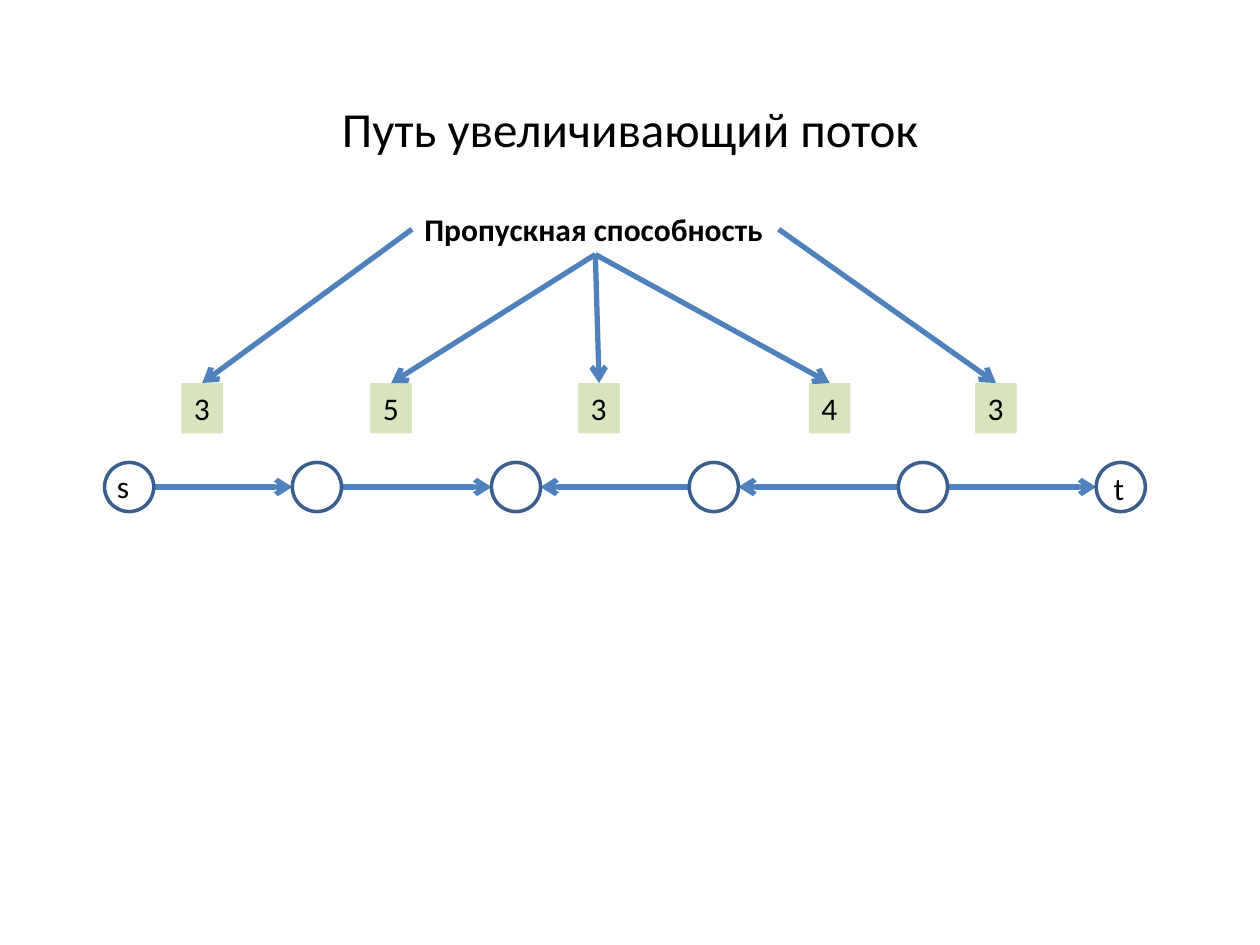
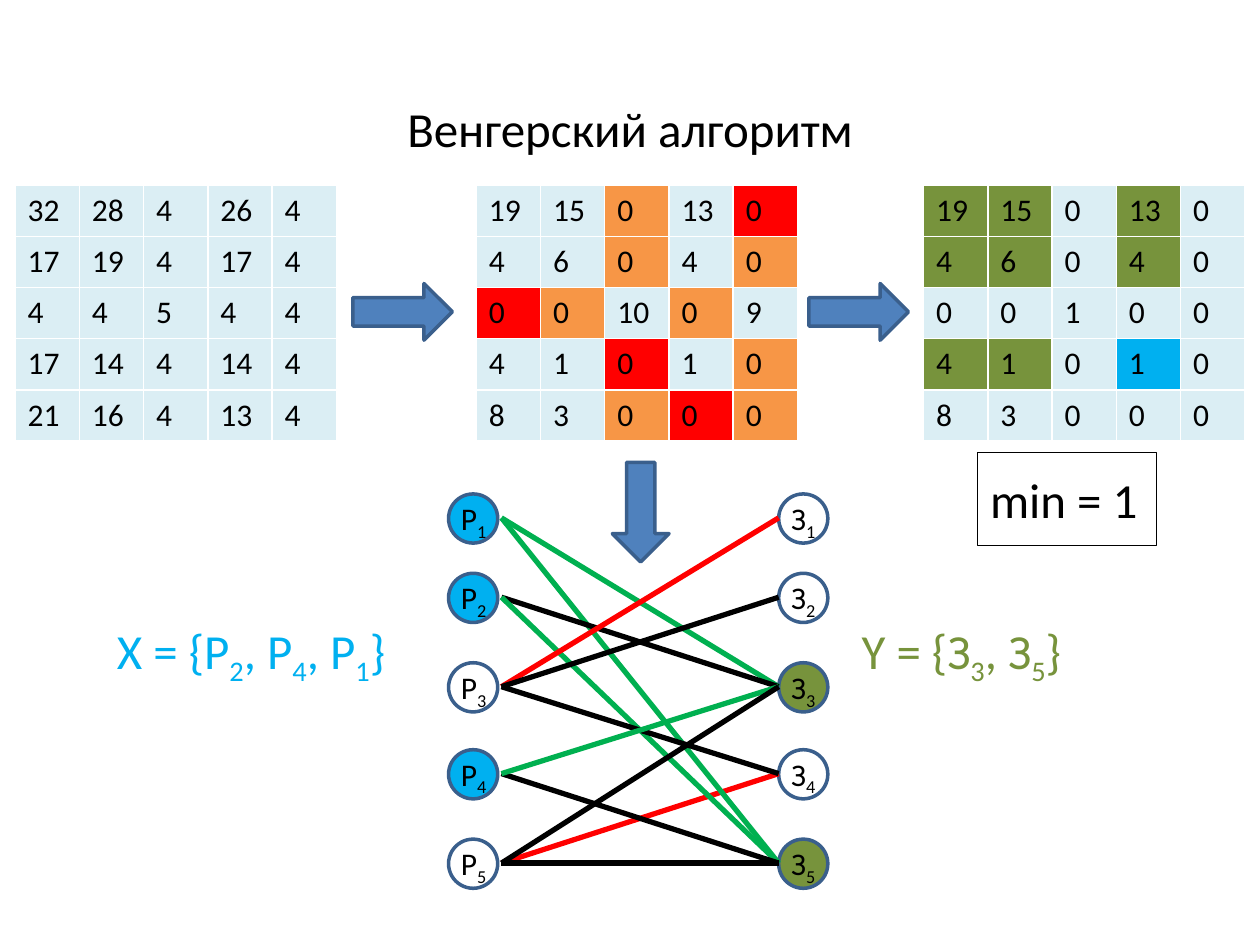
from lxml import etree
from pptx import Presentation
from pptx.dml.color import RGBColor
from pptx.enum.shapes import MSO_CONNECTOR, MSO_SHAPE
from pptx.enum.text import MSO_ANCHOR, PP_ALIGN
from pptx.oxml.ns import qn
from pptx.util import Inches, Pt

STRAIGHT = MSO_CONNECTOR.STRAIGHT
OVAL, RECT, ARROW = MSO_SHAPE.OVAL, MSO_SHAPE.RECTANGLE, MSO_SHAPE.RIGHT_ARROW
MIDDLE, CENTER, LEFT = MSO_ANCHOR.MIDDLE, PP_ALIGN.CENTER, PP_ALIGN.LEFT
TOP_SIDE, LEFT_SIDE, BOTTOM_SIDE, RIGHT_SIDE = range(4)

FONT = "Calibri"
BLACK, WHITE, RED, EDGE_GREEN = "000000", "FFFFFF", "FF0000", "00B050"
BLUE, OUTLINE, SKY, OLIVE = "4F81BD", "3A5F8C", "00B0F0", "77933C"
CAPACITY_FILL, CELL_FILL, ORANGE = "D7E4BD", "DBEEF4", "F79646"
CELL_FILLS = {".": CELL_FILL, "o": ORANGE, "r": RED, "g": OLIVE, "b": SKY}
NODE = 0.39
LABEL_HEIGHT = 0.4


def rgb(hex_color):
    """Turn a hex string into a colour."""
    return RGBColor.from_string(hex_color)


def inches(*lengths):
    """Turn numbers into lengths."""
    return [Inches(length) for length in lengths]


def write(frame, text, size=18, color=BLACK, bold=False, align=LEFT):
    """Write one paragraph; an underscore makes the next character a subscript."""
    paragraph = frame.paragraphs[0]
    paragraph.alignment = align
    first, *rest = text.split("_")
    paragraph.add_run().text = first
    for piece in rest:
        subscript = paragraph.add_run()
        subscript.text = piece[0]
        subscript._r.get_or_add_rPr().set("baseline", "-25000")
        if piece[1:]:
            paragraph.add_run().text = piece[1:]
    font = paragraph.font
    font.name, font.size, font.bold = FONT, Pt(size), bold
    font.color.rgb = rgb(color)


def add_label(slide, box, text, fill=None, **style):
    """Add an unwrapped text box, filled if a colour is given."""
    label = slide.shapes.add_textbox(*inches(*box))
    label.text_frame.word_wrap = False
    if fill:
        label.fill.solid()
        label.fill.fore_color.rgb = rgb(fill)
    write(label.text_frame, text, **style)
    return label


def add_preset(slide, kind, box, fill=None, line=OUTLINE, width=2):
    """Add a preset shape without shadow."""
    preset = slide.shapes.add_shape(kind, *inches(*box))
    preset.shadow.inherit = False
    if fill:
        preset.fill.solid()
        preset.fill.fore_color.rgb = rgb(fill)
    else:
        preset.fill.background()
    preset.line.color.rgb = rgb(line)
    preset.line.width = Pt(width)
    return preset


def add_line(slide, color, start=(0, 0), end=(0, 0), arrow=False):
    """Add a straight 3 pt line, with an arrowhead at its end if asked."""
    line = slide.shapes.add_connector(STRAIGHT, *inches(*start, *end))
    line.line.color.rgb = rgb(color)
    line.line.width = Pt(3)
    if arrow:
        outline = line.line._get_or_add_ln()
        etree.SubElement(outline, qn("a:tailEnd"), type="arrow")
    etree.SubElement(line._element.spPr, qn("a:effectLst"))
    return line


def join(slide, color, start, start_side, end, end_side, arrow=False):
    """Join the sides of two boxes with a line."""
    line = add_line(slide, color, arrow=arrow)
    line.begin_connect(start, start_side)
    line.end_connect(end, end_side)


def new_slide(deck, title):
    """Add a slide with the shared title style."""
    slide = deck.slides.add_slide(deck.slide_layouts[5])
    heading = slide.shapes.title
    heading.left, heading.top, heading.width, heading.height = inches(0.75, 0.21, 8.5, 1.61)
    heading.text_frame.vertical_anchor = MIDDLE
    write(heading.text_frame, title, size=28, align=CENTER)
    return slide


def draw_flow_path(slide, left, top):
    """Draw the chain of vertices from s to t."""
    vertices = [left + offset for offset in (0, 1.49, 3.07, 4.64, 6.3, 7.87)]
    middle = top + NODE / 2
    for here, following, forward in zip(vertices, vertices[1:], (1, 1, 0, 0, 1)):
        ends = [(here + NODE, middle), (following, middle)]
        add_line(slide, BLUE, *(ends if forward else ends[::-1]), arrow=True)
    for vertex in vertices:
        add_preset(slide, OVAL, (vertex, top, NODE, NODE), WHITE)
    add_label(slide, (vertices[0], top - 0.01, 0.3, LABEL_HEIGHT), "s")
    add_label(slide, (vertices[-1] + 0.04, top, 0.29, LABEL_HEIGHT), "t")


def draw_capacities(slide, left, top):
    """Draw the capacity caption with arrows to the edge capacities."""
    caption = add_label(slide, (left + 1.83, top, 2.91, LABEL_HEIGHT),
                        "Пропускная способность", WHITE, bold=True)
    capacities = [(0, "3", LEFT_SIDE), (1.5, "5", BOTTOM_SIDE), (3.15, "3", BOTTOM_SIDE),
                  (4.98, "4", BOTTOM_SIDE), (6.3, "3", RIGHT_SIDE)]
    for offset, value, side in capacities:
        box = (left + offset, top + 1.42, 0.33, LABEL_HEIGHT)
        capacity = add_label(slide, box, value, CAPACITY_FILL)
        join(slide, BLUE, caption, side, capacity, TOP_SIDE, arrow=True)


def draw_matrix(slide, left, top, rows, marks):
    """Draw a square matrix whose cells are coloured by mark letters."""
    size = len(rows)
    box = inches(left, top, 2.55, 2.03)
    table = slide.shapes.add_table(size, size, *box).table
    table.horz_banding = False
    for r, (values, row_marks) in enumerate(zip(rows, marks)):
        for c, (value, mark) in enumerate(zip(values, row_marks)):
            cell = table.cell(r, c)
            cell.fill.solid()
            cell.fill.fore_color.rgb = rgb(CELL_FILLS[mark])
            write(cell.text_frame, str(value))


def draw_assignment_graph(slide, left, top):
    """Draw workers and tasks as a bipartite graph."""
    levels = [top + offset for offset in (0, 0.63, 1.34, 2.03, 2.74)]

    def draw_side(letter, x, width, reached, fill):
        """Draw one column of nodes and return its labels by number."""
        labels = {}
        for number, y in enumerate(levels, 1):
            add_preset(slide, OVAL, (x, y, NODE, NODE), fill if number in reached else WHITE)
            box = (x, y - 0.01, width, LABEL_HEIGHT)
            labels[number] = add_label(slide, box, f"{letter}_{number}")
        return labels

    workers = draw_side("Р", left, 0.42, (1, 2, 4), SKY)
    tasks = draw_side("З", left + 2.62, 0.41, (3, 5), OLIVE)
    edges = [(5, 4, RED), (1, 3, EDGE_GREEN), (1, 5, EDGE_GREEN), (2, 3, BLACK),
             (2, 5, EDGE_GREEN), (3, 1, RED), (3, 2, BLACK), (3, 4, BLACK),
             (4, 5, BLACK), (4, 3, EDGE_GREEN), (5, 3, BLACK), (5, 5, BLACK)]
    for worker, task, color in edges:
        join(slide, color, tasks[task], LEFT_SIDE, workers[worker], RIGHT_SIDE)


def draw_vertex_set(slide, left, top, text, color):
    """Write a vertex set slightly above the middle of its box."""
    vertex_set = slide.shapes.add_textbox(*inches(left, top, 2.67, 1.61))
    frame = vertex_set.text_frame
    frame.word_wrap = True
    frame.vertical_anchor = MIDDLE
    frame.margin_bottom = Inches(0.52)
    write(frame, text, size=28, color=color)


def draw_minimum(slide, left, top):
    """Draw the framed minimum."""
    minimum = add_preset(slide, RECT, (left, top, 1.42, 0.74), line=BLACK, width=0.75)
    minimum.text_frame.vertical_anchor = MIDDLE
    write(minimum.text_frame, "min = 1", size=28)


def draw_step_arrow(slide, left, top, rotation=0):
    """Draw a block arrow to the next step."""
    add_preset(slide, ARROW, (left, top, 0.79, 0.45), BLUE).rotation = rotation


def build_path_slide(deck):
    """Build the slide on the augmenting path."""
    slide = new_slide(deck, "Путь увеличивающий поток")
    draw_flow_path(slide, 0.83, 3.67)
    draw_capacities(slide, 1.44, 1.62)


def build_hungarian_slide(deck):
    """Build the slide on the Hungarian algorithm."""
    slide = new_slide(deck, "Венгерский алгоритм")
    costs = [(32, 28, 4, 26, 4), (17, 19, 4, 17, 4), (4, 4, 5, 4, 4),
             (17, 14, 4, 14, 4), (21, 16, 4, 13, 4)]
    reduced = [(19, 15, 0, 13, 0), (4, 6, 0, 4, 0), (0, 0, 10, 0, 9),
               (4, 1, 0, 1, 0), (8, 3, 0, 0, 0)]
    uncovered = reduced[:2] + [(0, 0, 1, 0, 0)] + reduced[3:]
    matrices = [
        (0.12, costs, ["....."] * 5),
        (3.78, reduced, ["..o.r", "..o.o", "ro.o.", "..r.o", "..oro"]),
        (7.33, uncovered, ["gg.g.", "gg.g.", ".....", "gg.b.", "....."]),
    ]
    for left, rows, marks in matrices:
        draw_matrix(slide, left, 1.47, rows, marks)
    for left, top, rotation in ((2.8, 2.25, 0), (6.42, 2.25, 0), (4.69, 3.84, 90)):
        draw_step_arrow(slide, left, top, rotation)
    draw_minimum(slide, 7.76, 3.59)
    draw_vertex_set(slide, 0.83, 4.62, "X = {Р_2, Р_4, Р_1}", SKY)
    draw_vertex_set(slide, 6.74, 4.62, "Y = {З_3, З_5}", OLIVE)
    draw_assignment_graph(slide, 3.56, 3.92)


def main():
    """Build and save the presentation."""
    deck = Presentation()
    deck.slide_width, deck.slide_height = inches(10, 7.5)
    build_path_slide(deck)
    build_hungarian_slide(deck)
    deck.save("out.pptx")


if __name__ == "__main__":
    main()
